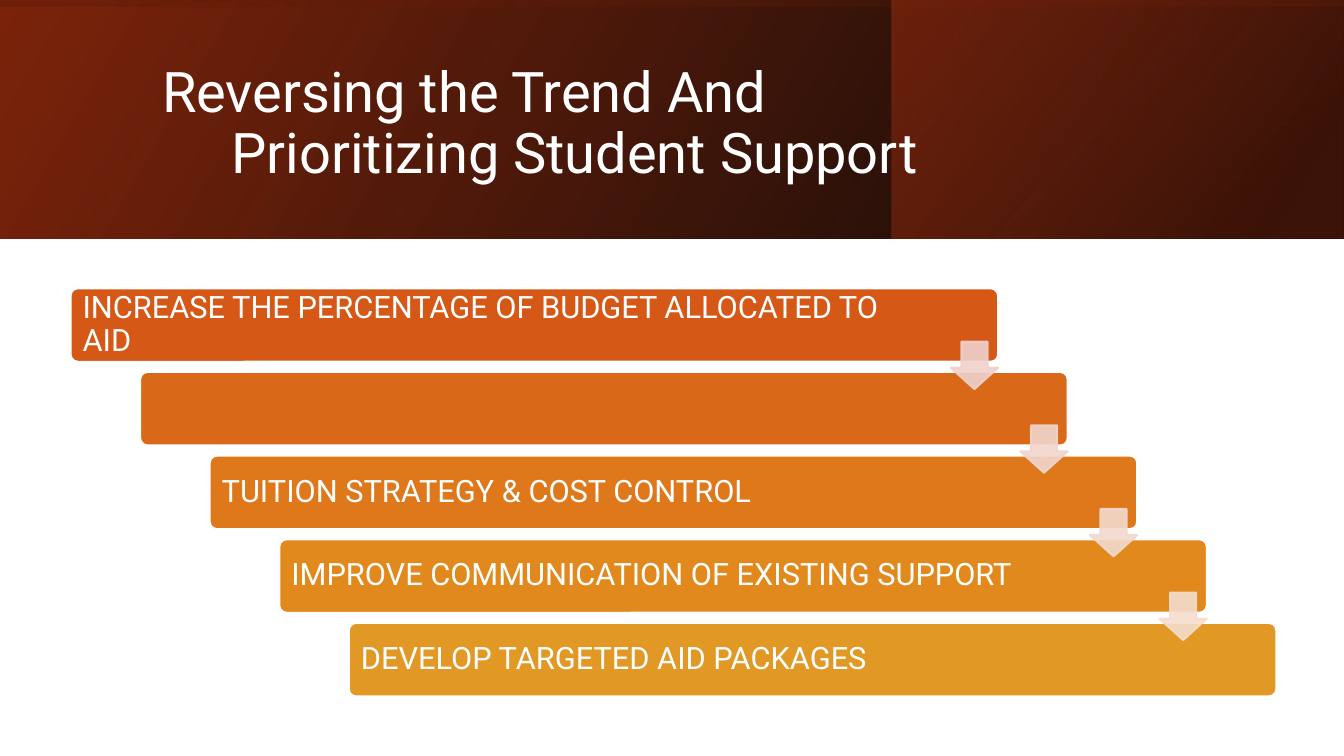
from lxml import etree
from pptx import Presentation
from pptx.dml.color import RGBColor
from pptx.enum.shapes import MSO_SHAPE as Shape
from pptx.enum.text import MSO_ANCHOR as Anchor, PP_ALIGN as Align
from pptx.oxml import parse_xml
from pptx.oxml.ns import nsdecls, qn
from pptx.util import Inches, Pt

WHITE = RGBColor(0xFF, 0xFF, 0xFF)
FONT = "Roboto"

TITLE_LINES = [("Reversing the Trend And", 0), ("Prioritizing Student Support", 0.69)]

BANDS = [
    ((0, 0, 13.33, 2.37), 0, 330, [(0, "000000", 96), (100, "7C240B", 100)]),
    ((8.84, 0, 4.48, 2.37), 0, 320, [(19, "521808", 68), (100, "A5300F", 48)]),
    ((5.48, -5.48, 2.37, 13.33), 270, 350, [(23, "7C240B", 16), (99, "000000", 45)]),
]

STEPS = [
    ("INCREASE THE PERCENTAGE OF BUDGET ALLOCATED TO AID", RGBColor(0xD5, 0x58, 0x16)),
    ("", RGBColor(0xD9, 0x68, 0x18)),
    ("TUITION STRATEGY & COST CONTROL", RGBColor(0xDE, 0x78, 0x1B)),
    ("IMPROVE COMMUNICATION OF EXISTING SUPPORT", RGBColor(0xE2, 0x89, 0x1D)),
    ("DEVELOP TARGETED AID PACKAGES", RGBColor(0xE1, 0x98, 0x25)),
]
ARROW_COLORS = [
    RGBColor(0xEF, 0xD1, 0xCC),
    RGBColor(0xF1, 0xD5, 0xCD),
    RGBColor(0xF2, 0xD9, 0xCD),
    RGBColor(0xF4, 0xDD, 0xCD),
]
STEP_X, STEP_Y = 0.69, 0.83
BAR = (0.7, 2.86, 9.2, 0.73)
ARROW = (9.43, 3.39, 0.47, 0.47)
ARROW_OPACITY = 90


def add_shape(slide, kind, box, adjustments=()):
    shape = slide.shapes.add_shape(kind, *map(Inches, box))
    shape.shadow.inherit = False
    for index, value in enumerate(adjustments):
        shape.adjustments[index] = value
    return shape


def add_band(slide, box, rotation, angle, stops):
    shape = add_shape(slide, Shape.RECTANGLE, box)
    shape.rotation = rotation
    shape.line.fill.background()
    properties = shape._element.spPr
    properties.find(qn("a:xfrm")).set("flipH", "1")
    stop_xml = "".join(
        f'<a:gs pos="{position * 1000}"><a:srgbClr val="{color}">'
        f'<a:alpha val="{opacity * 1000}"/></a:srgbClr></a:gs>'
        for position, color, opacity in stops
    )
    gradient = parse_xml(
        f'<a:gradFill {nsdecls("a")} rotWithShape="1"><a:gsLst>{stop_xml}</a:gsLst>'
        f'<a:lin ang="{angle * 60000}" scaled="0"/></a:gradFill>'
    )
    properties.find(qn("a:prstGeom")).addnext(gradient)


def write(paragraph, text, size):
    paragraph.alignment = Align.LEFT
    paragraph.line_spacing = 0.9
    run = paragraph.add_run()
    run.text = text
    run.font.name = FONT
    run.font.size = Pt(size)
    run.font.color.rgb = WHITE


def add_title(slide):
    box = slide.shapes.add_textbox(*map(Inches, (1.51, 0.38, 10.63, 1.72)))
    frame = box.text_frame
    frame.word_wrap = True
    frame.vertical_anchor = Anchor.MIDDLE
    for index, (text, indent) in enumerate(TITLE_LINES):
        paragraph = frame.add_paragraph() if index else frame.paragraphs[0]
        write(paragraph, text, 40)
        paragraph._p.get_or_add_pPr().set("marL", str(Inches(indent)))


def shifted(box, index):
    left, top, width, height = box
    return left + index * STEP_X, top + index * STEP_Y, width, height


def add_step(slide, index, text, color):
    bar = add_shape(slide, Shape.ROUNDED_RECTANGLE, shifted(BAR, index), [0.1])
    bar.fill.solid()
    bar.fill.fore_color.rgb = color
    bar.line.color.rgb = WHITE
    bar.line.width = Pt(1.5)
    if text:
        frame = bar.text_frame
        frame.word_wrap = True
        frame.vertical_anchor = Anchor.MIDDLE
        frame.margin_left, frame.margin_right = Inches(0.1), Inches(0.91)
        frame.margin_top = frame.margin_bottom = 0
        write(frame.paragraphs[0], text, 22)


def add_arrow(slide, index, color):
    arrow = add_shape(slide, Shape.DOWN_ARROW, shifted(ARROW, index), [0.55, 0.45])
    arrow.fill.solid()
    arrow.fill.fore_color.rgb = color
    arrow.line.color.rgb = color
    arrow.line.width = Pt(1.5)
    for color_element in arrow._element.spPr.iter(qn("a:srgbClr")):
        alpha = etree.SubElement(color_element, qn("a:alpha"))
        alpha.set("val", str(ARROW_OPACITY * 1000))


def main():
    presentation = Presentation()
    presentation.slide_width = Inches(13.33)
    presentation.slide_height = Inches(7.5)
    slide = presentation.slides.add_slide(presentation.slide_layouts[6])
    for band in BANDS:
        add_band(slide, *band)
    add_title(slide)
    for index, (text, color) in enumerate(STEPS):
        add_step(slide, index, text, color)
    for index, color in enumerate(ARROW_COLORS):
        add_arrow(slide, index, color)
    presentation.save("out.pptx")


if __name__ == "__main__":
    main()
